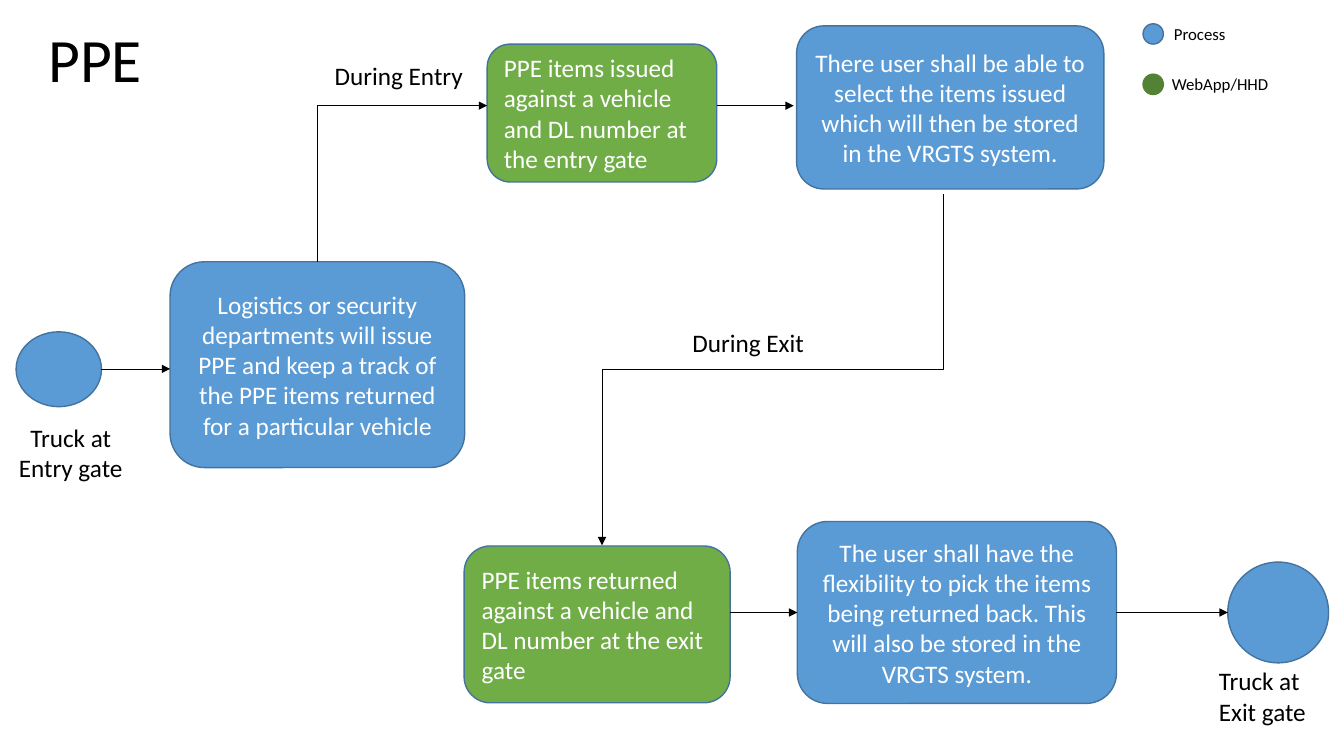
import pptx
import pptx.dml.color
import pptx.enum.shapes
import pptx.enum.text
import pptx.oxml
import pptx.oxml.ns
import pptx.util

Pt = pptx.util.Pt
SHAPE = pptx.enum.shapes.MSO_SHAPE
ALIGN = pptx.enum.text.PP_ALIGN
ANCHOR = pptx.enum.text.MSO_ANCHOR
BLUE, GREEN, DARK_GREEN, EDGE = "5B9BD5", "70AD47", "548235", "43739E"
BLACK, WHITE = "000000", "FFFFFF"


def color(hex_value):
    return pptx.dml.color.RGBColor.from_string(hex_value)


def drawing_xml(tag):
    return pptx.oxml.parse_xml("<a:%s %s/>" % (tag, pptx.oxml.ns.nsdecls("a")))


def write(sp, text, size, ink, align, anchor, wrap=True):
    tf = sp.text_frame
    for name, value in {"word_wrap": wrap, "vertical_anchor": anchor}.items():
        setattr(tf, name, value)
    p = tf.paragraphs[0]
    p.alignment = align
    r = p.add_run()
    r.text = text
    for name, value in {"name": "Calibri", "size": Pt(size)}.items():
        setattr(r.font, name, value)
    r.font.color.rgb = color(ink)


def label(s, x, y, w, h, text, size=18, align=ALIGN.LEFT, wrap=True):
    sp = s.shapes.add_textbox(Pt(x), Pt(y), Pt(w), Pt(h))
    write(sp, text, size, BLACK, align, ANCHOR.TOP, wrap)


def node(s, kind, x, y, w, h, fill=BLUE, edge=EDGE):
    sp = s.shapes.add_shape(kind, Pt(x), Pt(y), Pt(w), Pt(h))
    sp.shadow.inherit = False
    sp.fill.solid()
    sp.fill.fore_color.rgb = color(fill)
    sp.line.color.rgb = color(edge)
    sp.line.width = Pt(1)
    return sp


def step(s, x, y, w, h, text, fill=BLUE, align=ALIGN.CENTER):
    sp = node(s, SHAPE.ROUNDED_RECTANGLE, x, y, w, h, fill)
    write(sp, text, 18, WHITE, align, ANCHOR.MIDDLE)
    return sp


def arrow(s, x1, y1, x2, y2):
    line = s.shapes.add_connector(pptx.enum.shapes.MSO_CONNECTOR.STRAIGHT,
                                  Pt(x1), Pt(y1), Pt(x2), Pt(y2))
    line.line.color.rgb = color(BLACK)
    line.line.width = Pt(0.5)
    head = drawing_xml("tailEnd")
    head.set("type", "triangle")
    pr = line._element.spPr
    pr.find(pptx.oxml.ns.qn("a:ln")).append(head)
    pr.append(drawing_xml("effectLst"))
    return line


def elbow(s, x1, y1, x2, y2, preset, flips=()):
    """Arrow that leaves vertically: a bent connector turned by 90 degrees."""
    line = arrow(s, x1, y1, x2, y2)
    w, h = abs(y2 - y1), abs(x2 - x1)
    box = {"left": (x1 + x2 - w) / 2, "top": (y1 + y2 - h) / 2, "width": w, "height": h}
    for name, value in box.items():
        setattr(line, name, Pt(value))
    pr = line._element.spPr
    pr.find(pptx.oxml.ns.qn("a:prstGeom")).set("prst", preset)
    xfrm = pr.find(pptx.oxml.ns.qn("a:xfrm"))
    for name in ("flipH", "flipV"):
        xfrm.set(name, "1" if name in flips else "0")
    xfrm.set("rot", "5400000")


def legend(s, x, y):
    # Colour key
    rows = [("Process", BLUE, EDGE, 55), ("WebApp/HHD", DARK_GREEN, DARK_GREEN, 84)]
    for i, (text, fill, edge, w) in enumerate(rows):
        top = y + i * 36
        node(s, SHAPE.FLOWCHART_CONNECTOR, x, top + 3.5, 14.5, 14.5, fill, edge)
        label(s, x + 13, top, w, 22, text, 12, ALIGN.CENTER, wrap=False)


def issue(s, x, y):
    # Truck arrives and the PPE is issued
    node(s, SHAPE.OVAL, x, y + 50, 61, 53.5)
    label(s, x - 11.5, y + 111, 101, 51, "Truck at Entry gate", align=ALIGN.CENTER)
    step(s, x + 110, y, 210.5, 147,
         "Logistics or security departments will issue PPE and keep a track of "
         "the PPE items returned for a particular vehicle")
    arrow(s, x + 61, y + 76.5, x + 110, y + 76.5)


def entry(s, x, y):
    # Items handed out at the entry gate
    step(s, x, y + 13, 164, 98.5,
         "PPE items issued against a vehicle and DL number at the entry gate",
         GREEN, ALIGN.LEFT)
    step(s, x + 221, y, 219.5, 116.5,
         "There user shall be able to select the items issued which will then "
         "be stored in the VRGTS system.")
    arrow(s, x + 164, y + 57, x + 219, y + 57)
    elbow(s, x - 121.5, y + 168.5, x, y + 57, "bentConnector2", ("flipH", "flipV"))
    label(s, x - 116, y + 21, 107, 29, "During Entry", wrap=False)


def exit_gate(s, x, y):
    # Items given back before the truck leaves
    mid = y + 65
    step(s, x, y + 17.5, 190, 112,
         "PPE items returned against a vehicle and DL number at the exit gate",
         GREEN, ALIGN.LEFT)
    user = step(s, x + 238, y, 228, 130,
                "The user shall have the flexibility to pick the items being returned "
                "back. This will also be stored in the VRGTS system.")
    node(s, SHAPE.OVAL, x + 545.5, mid - 36, 72, 72)
    arrow(s, x + 190, mid, x + 238, mid).end_connect(user, 1)
    arrow(s, x + 466, mid, x + 545.5, mid).begin_connect(user, 3)
    elbow(s, x + 342, y - 234, x + 98.5, y + 17, "bentConnector3")
    label(s, x + 156, y - 142, 128, 29, "During Exit")
    label(s, x + 532, y + 99.5, 79, 51, "Truck at Exit gate")


def main():
    prs = pptx.Presentation()
    prs.slide_width, prs.slide_height = Pt(960), Pt(540)
    s = prs.slides.add_slide(prs.slide_layouts[6])
    label(s, 27.5, 11.5, 155.5, 60.5, "PPE", 44)
    issue(s, 11.5, 187)
    entry(s, 348, 18.5)
    exit_gate(s, 331.5, 372.5)
    legend(s, 816.5, 13.5)
    prs.save("out.pptx")


if __name__ == "__main__":
    main()
